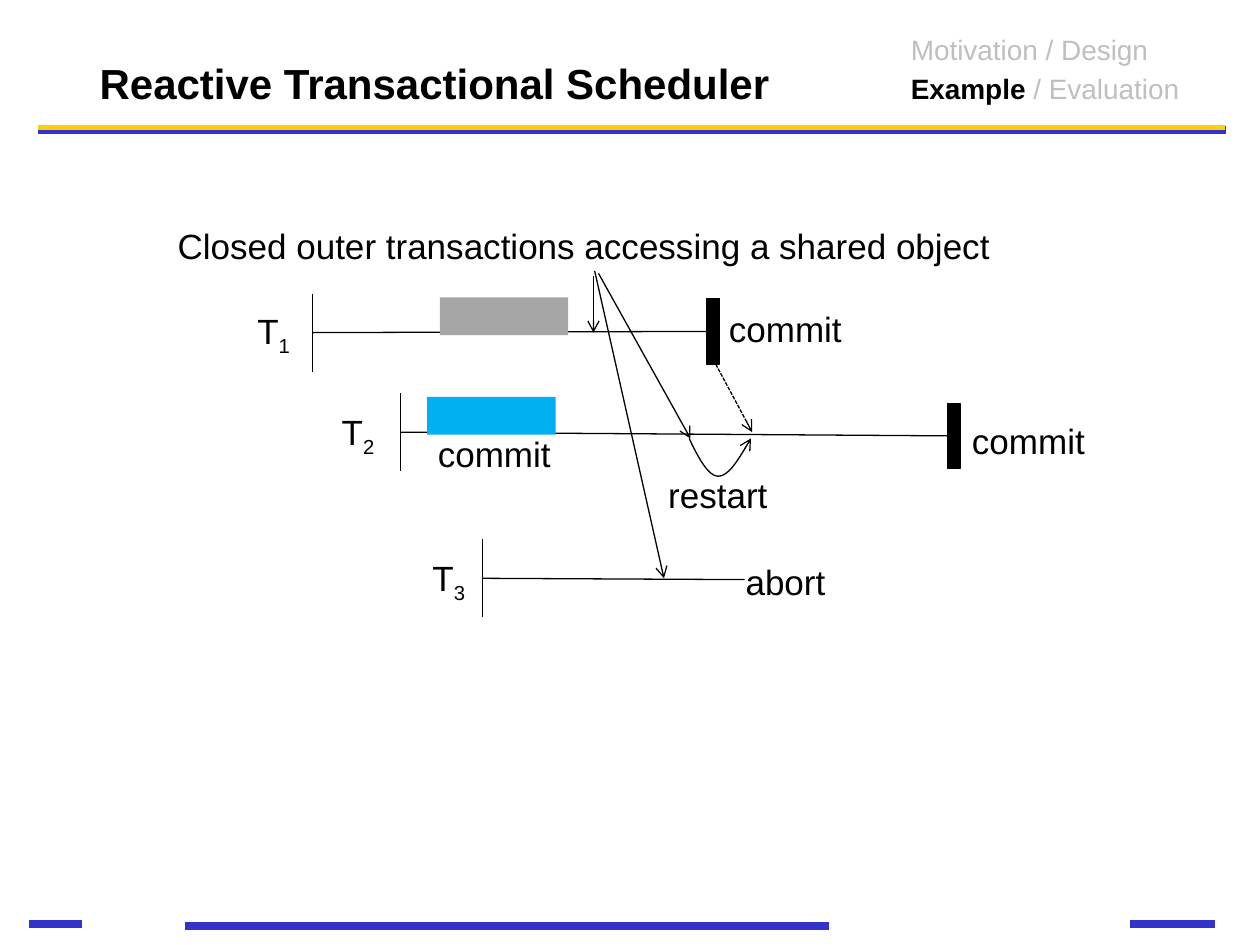
from lxml import etree
from pptx import Presentation
from pptx.dml.color import RGBColor
from pptx.enum.dml import MSO_LINE
from pptx.enum.shapes import MSO_CONNECTOR, MSO_SHAPE
from pptx.enum.text import MSO_ANCHOR, PP_ALIGN
from pptx.oxml.ns import qn
from pptx.util import Inches, Pt

STRAIGHT = MSO_CONNECTOR.STRAIGHT
RECT = MSO_SHAPE.RECTANGLE
LEFT, RIGHT = PP_ALIGN.LEFT, PP_ALIGN.RIGHT
RIGHT_SIDE = 3
FONT = "Arial"
COLORS = {"black": "000000", "muted": "BFBFBF", "rule": "3333CC",
          "accent": "FFCF01", "gray": "A6A6A6", "blue": "00B0F0"}

TITLE = "Reactive Transactional Scheduler"
# Paragraphs of runs: text, color, bold
OUTLINE = [
    [("Motivation / Design", "muted", False)],
    [("Example", "black", True), (" / Evaluation", "muted", False)],
]
# Left, right, y, color, width
RULES = [
    (0.3, 9.73, 1.03, "rule", 4.5),
    (1.47, 6.58, 7.35, "rule", 4.5),
    (8.97, 9.64, 7.33, "rule", 4.5),
    (0.3, 9.72, 1.01, "accent", 3),
    (0.23, 0.65, 7.33, "rule", 4.5),
]
# Start x, y, label left and top, and either the commit bar (left, top) or the end point
TRANSACTIONS = [
    {"id": "1", "start": (2.48, 2.64), "label": (1.92, 2.41), "bar": (5.61, 2.37)},
    {"id": "2", "start": (3.18, 3.43), "label": (2.59, 3.21), "bar": (7.52, 3.2)},
    {"id": "3", "start": (3.83, 4.59), "label": (3.31, 4.37), "end": (5.91, 4.6)},
]
BLOCKS = [(3.49, 2.36, "gray"), (3.39, 3.15, "blue")]
# Text, left, top, width
LABELS = [
    ("Closed outer transactions accessing a shared object", 1.26, 1.73, 6.7),
    ("commit", 5.68, 2.39, 1.1),
    ("commit", 3.37, 3.38, 1.1),
    ("commit", 7.61, 3.28, 1.1),
    ("restart", 5.2, 3.71, 0.99),
    ("abort", 5.81, 4.4, 0.84),
]
# From, to, dashed
ARROWS = [
    ((4.71, 2.19), (4.71, 2.64), False),
    ((4.75, 2.17), (5.48, 3.48), False),
    ((4.72, 2.15), (5.27, 4.59), False),
    ((5.68, 2.89), (5.97, 3.43), True),
]
RESTART_CURVE = [
    [(5.47, 3.48), (5.54, 3.63), (5.62, 3.78), (5.7, 3.78)],
    [(5.7, 3.78), (5.79, 3.78), (5.87, 3.63), (5.96, 3.48)],
]
TICK_H, LABEL_H, ID_W = 0.62, 0.44, 0.48
BAR_W, BAR_H = 0.1, 0.52
BLOCK_W, BLOCK_H = 1.02, 0.3
CURVE_STEPS = 12


def rgb(name):
    return RGBColor.from_string(COLORS[name])


def style_line(s, color="black", width=0.75, arrow=False, dashed=False):
    s.line.color.rgb = rgb(color)
    s.line.width = Pt(width)
    if dashed:
        s.line.dash_style = MSO_LINE.SQUARE_DOT
    if arrow:
        etree.SubElement(s.line._get_or_add_ln(), qn("a:tailEnd"), type="arrow")


def add_line(start, end, **style):
    c = slide.shapes.add_connector(STRAIGHT, *map(Inches, (*start, *end)))
    style_line(c, **style)
    etree.SubElement(c._element.spPr, qn("a:effectLst"))
    return c


def add_rect(x, y, w, h, color):
    s = slide.shapes.add_shape(RECT, *map(Inches, (x, y, w, h)))
    s.shadow.inherit = False
    s.fill.solid()
    s.fill.fore_color.rgb = rgb(color)
    s.line.fill.background()
    return s


def add_text(paragraphs, x, y, w, h, size, align, wrap):
    """Add a text box; each paragraph is a list of (text, color, bold) runs."""
    tf = slide.shapes.add_textbox(*map(Inches, (x, y, w, h))).text_frame
    tf.word_wrap = wrap
    for i, runs in enumerate(paragraphs):
        p = tf.paragraphs[0] if i == 0 else tf.add_paragraph()
        p.alignment = align
        p.space_before = Pt(size * 0.2)
        p.font.name, p.font.size = FONT, Pt(size)
        for text, color, bold in runs:
            r = p.add_run()
            r.text = text
            r.font.color.rgb = rgb(color)
            r.font.bold = bold
    return tf


def add_label(texts, x, y, w):
    runs = [(text, "black", False) for text in texts]
    return add_text([runs], x, y, w, LABEL_H, 20, RIGHT, False)


def bezier_point(points, t):
    weights = ((1 - t) ** 3, 3 * t * (1 - t) ** 2, 3 * t ** 2 * (1 - t), t ** 3)
    return tuple(Inches(sum(k * pt[axis] for k, pt in zip(weights, points)))
                 for axis in (0, 1))


def add_transaction(tx):
    x, y = tx["start"]
    add_line((x, y - TICK_H / 2), (x, y + TICK_H / 2))
    if "bar" in tx:
        bar = add_rect(*tx["bar"], BAR_W, BAR_H, "black")
        style_line(bar)
        timeline = add_line((x, y), (x, y))
        timeline.end_connect(bar, RIGHT_SIDE)
    else:
        add_line((x, y), tx["end"])
    tf = add_label(["T", tx["id"]], *tx["label"], ID_W)
    tf.paragraphs[0].runs[1].font._element.set("baseline", "-25000")


prs = Presentation()
prs.slide_width, prs.slide_height = Inches(10), Inches(7.5)
slide = prs.slides.add_slide(prs.slide_layouts[5])

for left, right, y, color, width in RULES:
    add_line((left, y), (right, y), color=color, width=width)

title = slide.shapes.title
title.left, title.top, title.width, title.height = map(Inches, (0.69, 0.24, 8.42, 0.67))
tf = title.text_frame
tf.text = TITLE
tf.vertical_anchor = MSO_ANCHOR.BOTTOM
p = tf.paragraphs[0]
p.alignment = LEFT
p.font.name, p.font.size, p.font.bold = FONT, Pt(24), True
p.font.color.rgb = rgb("black")

add_text(OUTLINE, 7.13, 0.21, 2.45, 0.69, 16, LEFT, True)

for tx in TRANSACTIONS:
    add_transaction(tx)
for x, y, color in BLOCKS:
    add_rect(x, y, BLOCK_W, BLOCK_H, color)
for text, x, y, w in LABELS:
    add_label([text], x, y, w)
for start, end, dashed in ARROWS:
    add_line(start, end, arrow=True, dashed=dashed)

first, *rest = [bezier_point(part, i / CURVE_STEPS)
                for part in RESTART_CURVE for i in range(CURVE_STEPS + 1)]
builder = slide.shapes.build_freeform(*first)
builder.add_line_segments(rest, close=False)
curve = builder.convert_to_shape()
curve.shadow.inherit = False
curve.fill.background()
style_line(curve, arrow=True)

prs.save("out.pptx")
